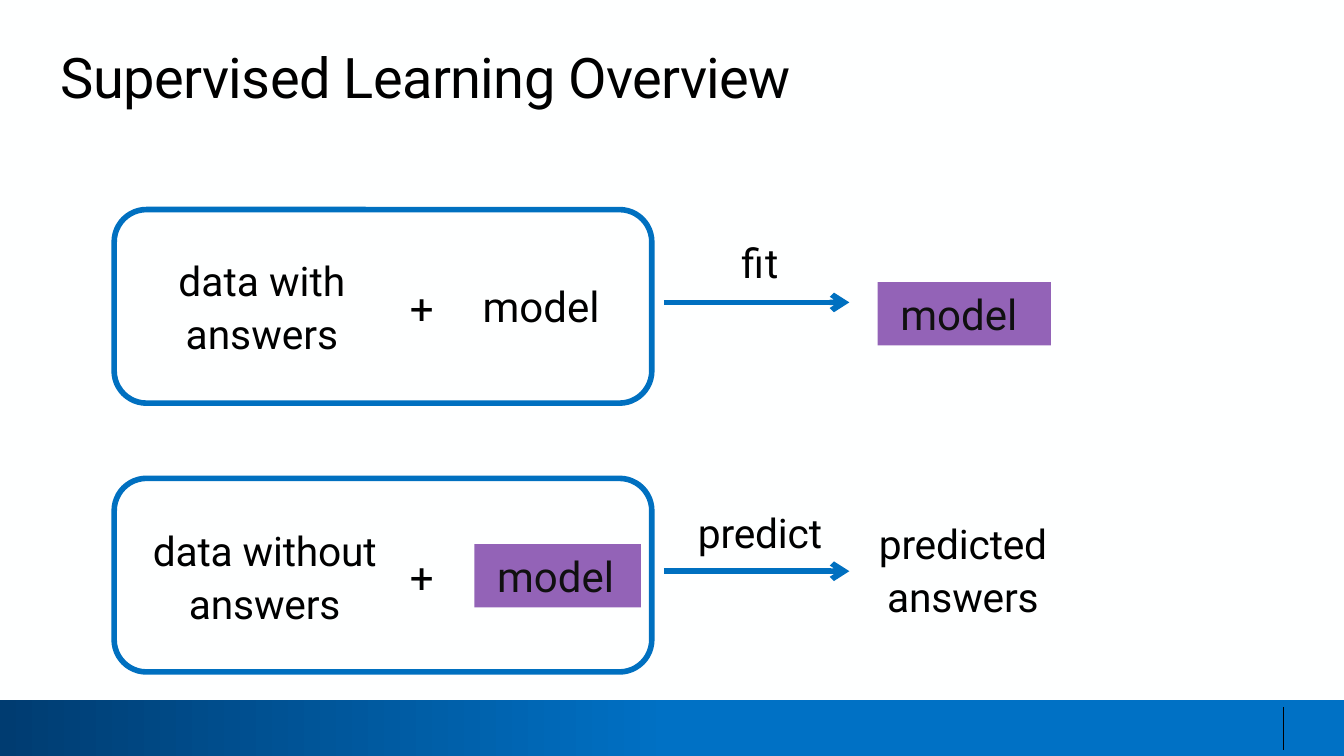
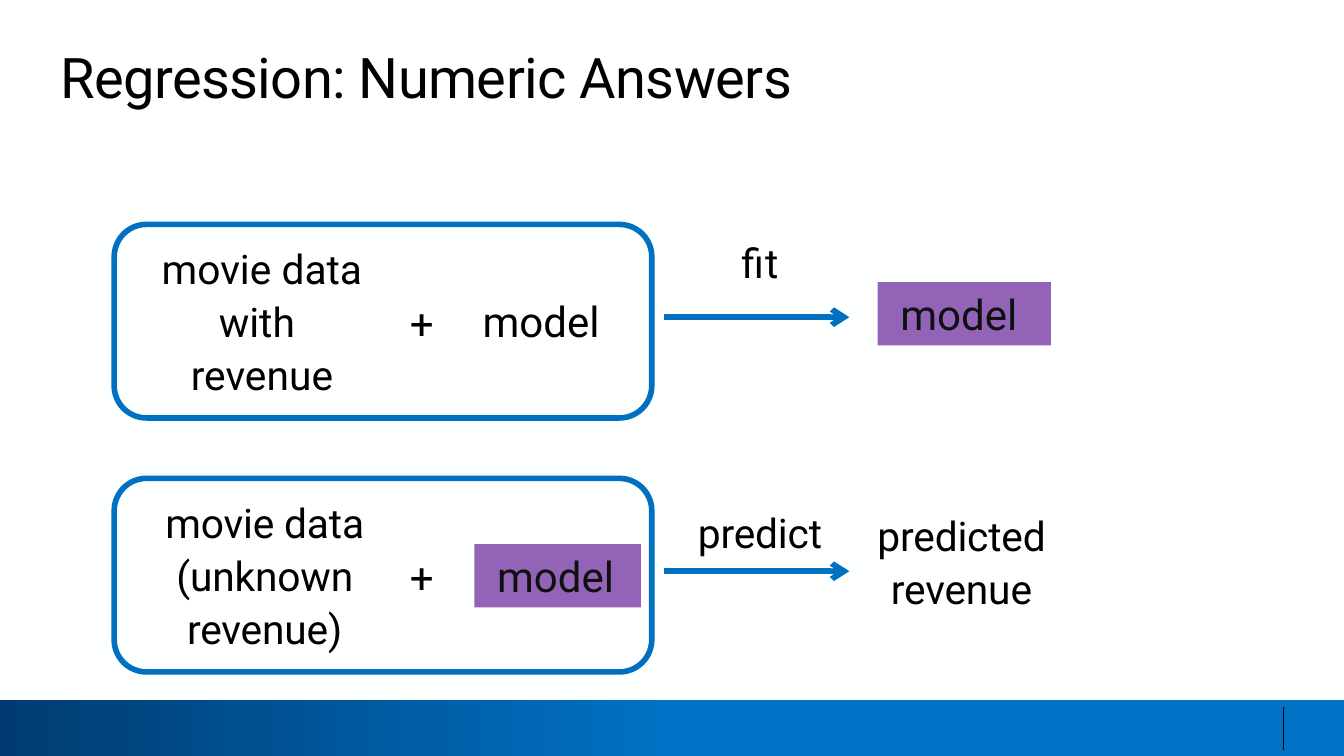
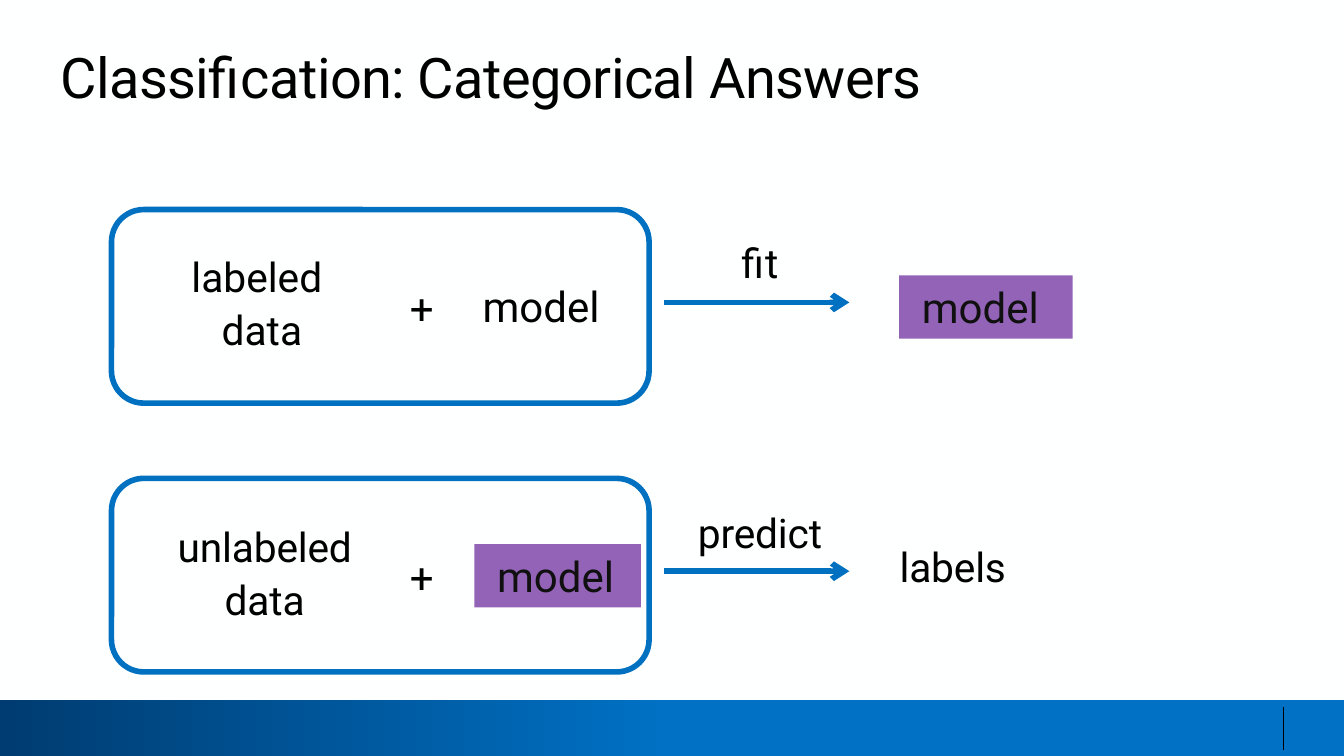
from pptx import Presentation
from pptx.dml.color import RGBColor
from pptx.enum.shapes import MSO_CONNECTOR as CONNECTOR, MSO_SHAPE as SHAPE
from pptx.enum.text import MSO_ANCHOR as ANCHOR, MSO_AUTO_SIZE as AUTO, PP_ALIGN as ALIGN
from pptx.oxml.ns import qn
from pptx.util import Inches, Pt
from lxml.etree import SubElement

WHITE = RGBColor(0xFE, 0xFF, 0xFF)
BLACK = RGBColor(0, 0, 0)
INK = RGBColor(0x10, 0x10, 0x10)
BLUE = RGBColor(0x00, 0x70, 0xC0)
NAVY = RGBColor(0x00, 0x3C, 0x71)
BAND_BLUE = RGBColor(0x00, 0x71, 0xC5)
PURPLE = RGBColor(0x70, 0x30, 0xA0)
FONT = "Roboto"

PREDICT_TOP = 3.56
ROW_GAP = 2.01  # distance between the fit and predict labels

SLIDES = [
    dict(title="Supervised Learning Overview", box_left=0.85, fit_top=1.56,
         known=("data with answers", 1.87, 0.81),
         unknown=("data without answers", 3.88, 0.81),
         fitted_at=(6.53, 2.1),
         result=("predicted answers", 6.49, 3.83, 1.34, 0.81)),
    dict(title="Regression: Numeric Answers", box_left=0.85, fit_top=1.67,
         known=("movie data with \nrevenue", 1.78, 1.21),
         unknown=("movie data (unknown revenue)", 3.67, 1.21),
         fitted_at=(6.53, 2.1),
         result=("predicted revenue", 6.48, 3.77, 1.34, 0.8)),
    dict(title="Classification: Categorical Answers", box_left=0.83, fit_top=1.56,
         known=("labeled \ndata", 1.84, 0.8),
         unknown=("unlabeled data", 3.85, 0.8),
         fitted_at=(6.69, 2.05),
         result=("labels", 6.5, 4, 1.17, 0.41)),
]


def write(sp, text, size=21.8, color=BLACK, align=ALIGN.LEFT, margin=0.01,
          line=None, spacing=0, inset=0, anchor=ANCHOR.TOP, autosize=AUTO.SHAPE_TO_FIT_TEXT):
    """Fill a shape with one paragraph per line of text; spacing is in points."""
    tf = sp.text_frame
    tf.word_wrap = True
    tf.auto_size = autosize
    tf.vertical_anchor = anchor
    if inset is not None:
        tf.margin_left = tf.margin_top = tf.margin_right = tf.margin_bottom = Inches(inset)
    for i, words in enumerate(text.split("\n")):
        p = tf.paragraphs[0] if i == 0 else tf.add_paragraph()
        p.alignment = align
        if line:
            p.line_spacing = Pt(line)
        pPr = p._p.get_or_add_pPr()
        pPr.set("marL", str(Inches(margin)))
        pPr.set("indent", "0")
        r = p.add_run()
        r.text = words
        r.font.name = FONT
        r.font.size = Pt(size)
        r.font.color.rgb = color
        if spacing:
            r._r.get_or_add_rPr().set("spc", str(round(spacing * 100)))


class Deck:
    def __init__(self):
        self.prs = Presentation()
        self.prs.slide_width = Inches(10)
        self.prs.slide_height = Inches(10 * 9 / 16)
        self.s = None

    def new_slide(self, title):
        self.s = self.prs.slides.add_slide(self.prs.slide_layouts[5])
        fill = self.s.background.fill
        fill.solid()
        fill.fore_color.rgb = WHITE
        self.footer()
        sp = self.s.shapes.title
        sp.left, sp.top, sp.width, sp.height = map(Inches, (0.44, 0.32, 9.23, 0.5))
        write(sp, title, size=30, spacing=-0.3)

    def footer(self):
        band = self.shape(SHAPE.RECTANGLE, 0, 5.21, 10, 0.42)
        band.fill.gradient()
        band.fill.gradient_angle = 0
        for stop, position, color in zip(band.fill.gradient_stops, (0, 0.5), (NAVY, BAND_BLUE)):
            stop.position = position
            stop.color.rgb = color
        self.line(9.55, 5.26, 9.55, 5.58, BLACK, 0.75)

    def shape(self, kind, x, y, w, h, fill=None, line=None, width=0.75):
        sp = self.s.shapes.add_shape(kind, *map(Inches, (x, y, w, h)))
        sp.shadow.inherit = False
        if fill is None:
            sp.fill.background()
        else:
            sp.fill.solid()
            sp.fill.fore_color.rgb = fill
        if line is None:
            sp.line.fill.background()
        else:
            sp.line.color.rgb = line
            sp.line.width = Pt(width)
        return sp

    def line(self, x1, y1, x2, y2, color, width):
        sp = self.s.shapes.add_connector(CONNECTOR.STRAIGHT, *map(Inches, (x1, y1, x2, y2)))
        sp.line.color.rgb = color
        sp.line.width = Pt(width)
        SubElement(sp._element.spPr, qn("a:effectLst"))
        return sp

    def arrow(self, y):
        sp = self.line(4.94, y, 6.32, y, BLUE, 3)
        SubElement(sp.line._get_or_add_ln(), qn("a:tailEnd"), type="arrow")

    def label(self, text, x, y, w, h, spacing=-0.1):
        sp = self.s.shapes.add_textbox(*map(Inches, (x, y, w, h)))
        write(sp, text, align=ALIGN.CENTER, line=28.5, spacing=spacing)

    def term(self, text, x, y, w):
        sp = self.shape(SHAPE.RECTANGLE, x, y, w, 0.38, line=WHITE)
        write(sp, text, size=22.5, margin=0.07)

    def fitted_model(self, x, y, w):
        sp = self.shape(SHAPE.RECTANGLE, x, y, w, 0.47, fill=PURPLE)
        color = sp._element.spPr.find(qn("a:solidFill"))[0]
        SubElement(color, qn("a:alpha"), val="75000")
        write(sp, "model", size=22.5, color=INK, margin=0.07, inset=None,
              anchor=ANCHOR.MIDDLE, autosize=AUTO.NONE)

    def step(self, name, box_left, top, label_top, data):
        """Draw the part that both rows share: box, data, plus sign and named arrow."""
        text, data_top, height = data
        self.shape(SHAPE.ROUNDED_RECTANGLE, box_left, top, 4, 1.44, WHITE, BLUE, 3)
        width = 1.87 if name == "fit" else 1.91
        self.label(text, 1.01, data_top, width, height, 0 if name == "fit" else -0.1)
        self.term("+", 2.98, top + 0.54, 0.33)
        self.arrow(top + 0.69)
        self.label(name, 4.88, label_top, 1.54, 0.4)


def main():
    deck = Deck()
    for page in SLIDES:
        deck.new_slide(page["title"])
        left, fit_top = page["box_left"], page["fit_top"]
        deck.step("fit", left, fit_top, 1.74, page["known"])
        deck.term("model", 3.52, fit_top + 0.53, 1.05)
        deck.fitted_model(*page["fitted_at"], 1.29)
        deck.step("predict", left, PREDICT_TOP, 1.74 + ROW_GAP, page["unknown"])
        deck.fitted_model(3.53, 4.05, 1.24)
        deck.label(*page["result"])
    deck.prs.save("out.pptx")


if __name__ == "__main__":
    main()
